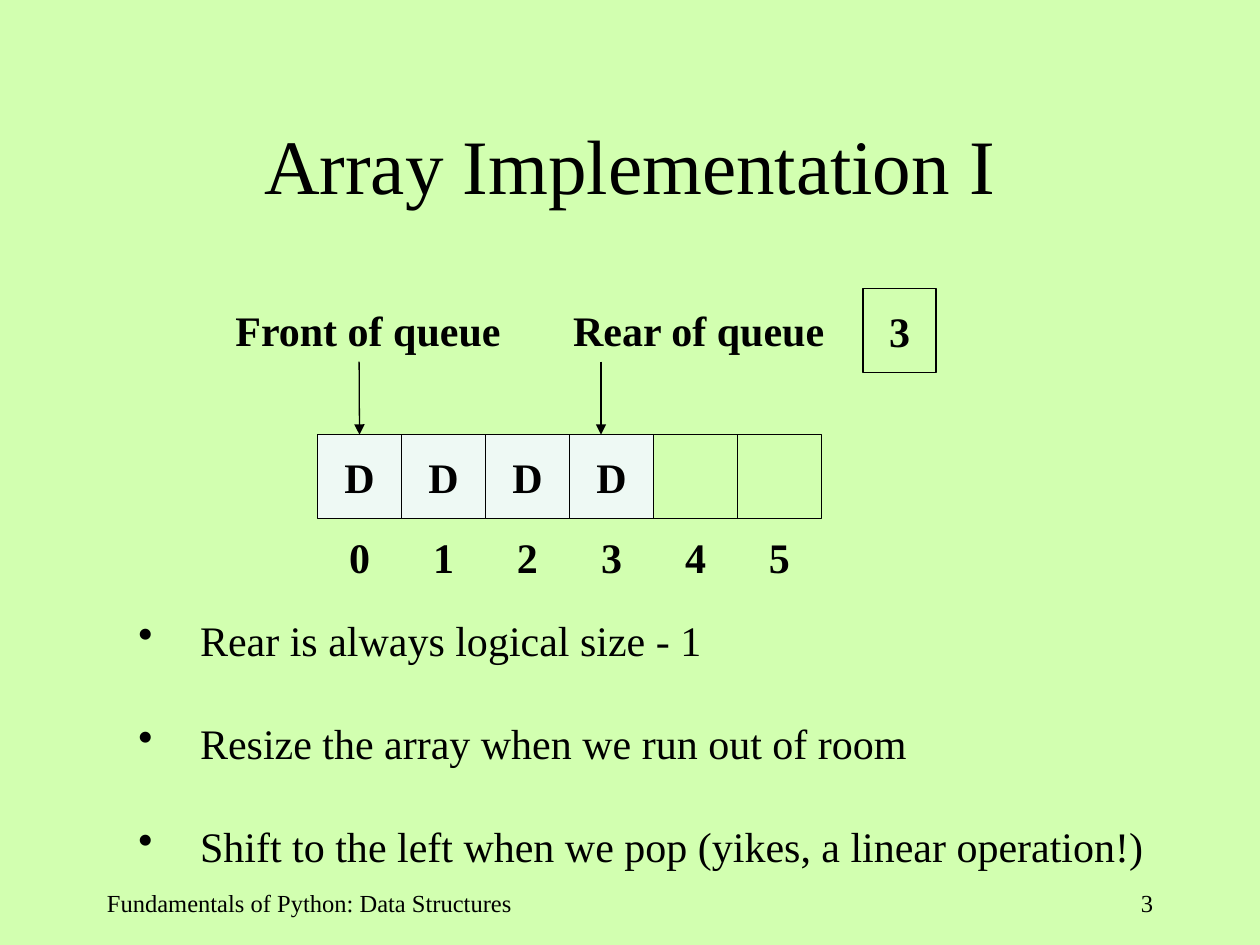
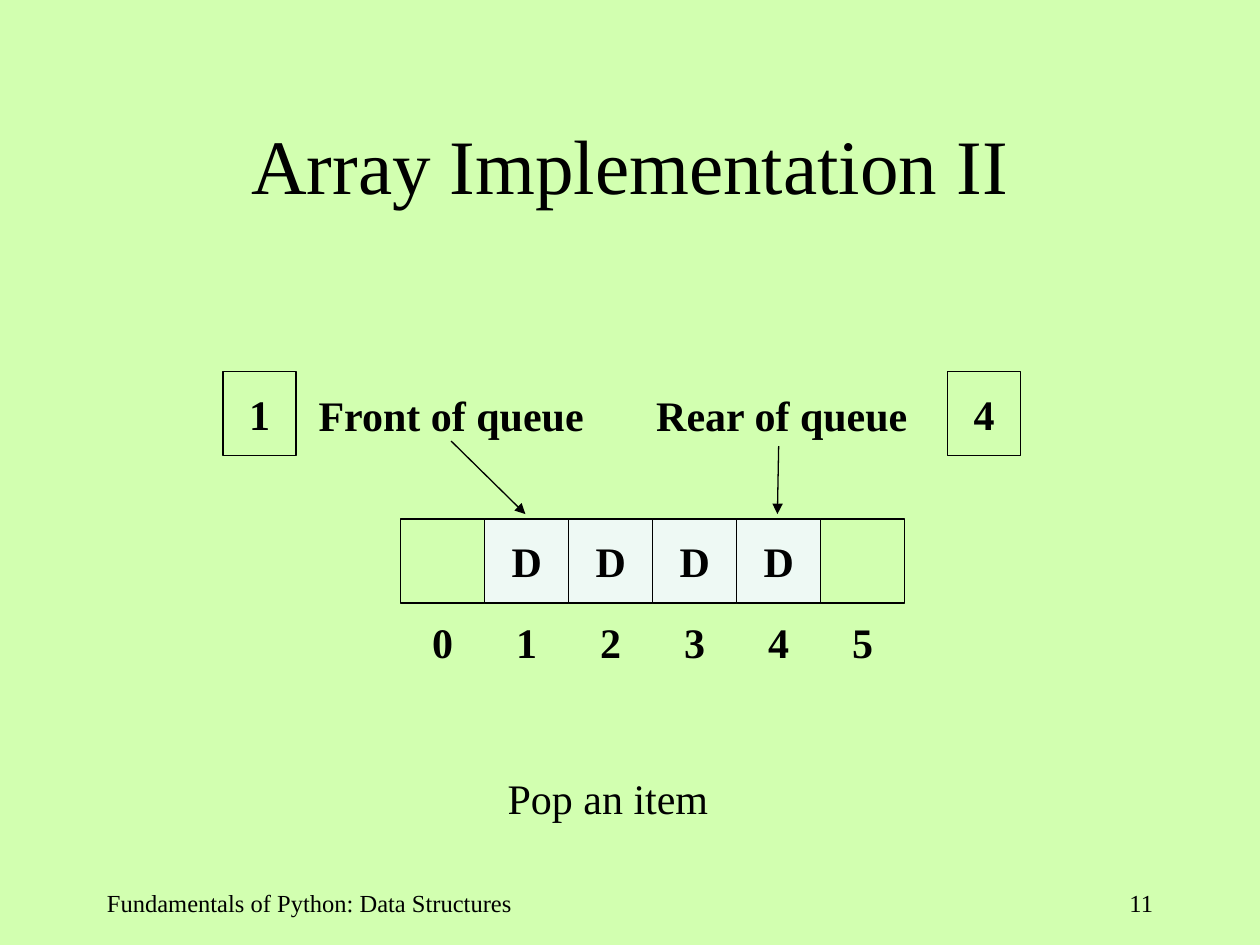
from pptx import Presentation
from pptx import util as u
from pptx.dml.color import RGBColor
from pptx.enum import shapes, text
from pptx.oxml import ns, xmlchemy

Inches, Pt = u.Inches, u.Pt
LEFT, CENTER, RIGHT = text.PP_ALIGN.LEFT, text.PP_ALIGN.CENTER, text.PP_ALIGN.RIGHT
TOP, MIDDLE = text.MSO_ANCHOR.TOP, text.MSO_ANCHOR.MIDDLE

FONT = "Times New Roman"
BACKGROUND, INK, USED_CELL = "D2FFB0", "000000", "EEF9F4"
FOOTER = "Fundamentals of Python: Data Structures"
CELL = 2 / 3          # side of one array cell
COUNTER_WIDTH = 0.58
LABEL_HEIGHT = 0.5


def color(hex_string):
    return RGBColor.from_string(hex_string)


def write(shape, lines, size=24, bold=False, align=LEFT, anchor=TOP):
    """Fill a shape with paragraphs that share one style."""
    frame = shape.text_frame
    frame.word_wrap = True
    frame.vertical_anchor = anchor
    frame.text = "\n".join(lines)
    for paragraph in frame.paragraphs:
        paragraph.alignment = align
        font = paragraph.font
        font.name, font.size, font.bold = FONT, Pt(size), bold
        font.color.rgb = color(INK)
    return frame.paragraphs


def add_text(slide, left, top, width, height, *lines, **style):
    box = slide.shapes.add_textbox(*map(Inches, (left, top, width, height)))
    return write(box, lines, **style)


def add_box(slide, left, top, width, label="", fill=None):
    box = slide.shapes.add_shape(
        shapes.MSO_SHAPE.RECTANGLE, *map(Inches, (left, top, width, CELL)))
    box.shadow.inherit = False
    if fill:
        box.fill.solid()
        box.fill.fore_color.rgb = color(fill)
    else:
        box.fill.background()
    box.line.color.rgb = color(INK)
    box.line.width = Pt(0.75)
    if label:
        write(box, [label], bold=True, align=CENTER, anchor=MIDDLE)
    return box


def add_arrow(slide, start, end, target=None):
    """Draw an arrow, joined to the top of target when one is given."""
    arrow = slide.shapes.add_connector(
        shapes.MSO_CONNECTOR.STRAIGHT, *map(Inches, (*start, *end)))
    if target is not None:
        arrow.end_connect(target, 0)
    arrow.line.color.rgb = color(INK)
    arrow.line.width = Pt(0.75)
    properties = arrow._element.spPr
    head = xmlchemy.OxmlElement("a:tailEnd")
    head.set("type", "triangle")
    properties.find(ns.qn("a:ln")).append(head)
    properties.append(xmlchemy.OxmlElement("a:effectLst"))


def add_bullets(slide, left, top, width, height, *lines):
    for index, paragraph in enumerate(add_text(slide, left, top, width, height, *lines)):
        if index:
            paragraph.space_before = Pt(30)
        properties = paragraph._p.get_or_add_pPr()
        properties.set("marL", str(Inches(0.49)))
        properties.set("indent", str(-Inches(0.49)))
        bullet = xmlchemy.OxmlElement("a:buChar")
        bullet.set("char", "•")
        properties.insert_element_before(bullet, "a:tabLst", "a:defRPr", "a:extLst")


def add_queue(slide, left, top, items):
    """Draw the array with its indexes and the two labels above it."""
    cells = []
    for index, item in enumerate(items):
        x = left + index * CELL
        cells.append(add_box(slide, x, top, CELL, item, USED_CELL if item else None))
        add_text(slide, x, top + 0.72, CELL, LABEL_HEIGHT, str(index),
                 bold=True, align=CENTER)
    for offset, label in ((-0.75, "Front of queue"), (1.93, "Rear of queue")):
        add_text(slide, left + offset, top - 1.08, 2.35, LABEL_HEIGHT, label, bold=True)
    return cells


def add_base_slide(presentation, title, number):
    slide = presentation.slides.add_slide(presentation.slide_layouts[6])
    slide.background.fill.solid()
    slide.background.fill.fore_color.rgb = color(BACKGROUND)
    add_text(slide, 0.75, 0.67, 8.5, 1.25, title, size=44, align=CENTER, anchor=MIDDLE)
    add_text(slide, 0.75, 7, 3.92, 0.5, FOOTER, size=14)
    add_text(slide, 7.17, 7, 2.08, 0.5, str(number), size=14, align=RIGHT)
    return slide


def main():
    presentation = Presentation()
    presentation.slide_width, presentation.slide_height = Inches(10), Inches(7.5)

    # Front fixed at index 0
    slide = add_base_slide(presentation, "Array Implementation I", 3)
    cells = add_queue(slide, 2.52, 3.45, ["D", "D", "D", "D", "", ""])
    add_arrow(slide, (2.85, 2.87), (2.85, 3.45), cells[0])
    add_arrow(slide, (4.77, 2.87), (4.77, 3.45))
    add_box(slide, 6.85, 2.29, COUNTER_WIDTH, "3")
    add_bullets(slide, 1, 4.83, 8.73, 2.1,
                "Rear is always logical size - 1",
                "Resize the array when we run out of room",
                "Shift to the left when we pop (yikes, a linear operation!)")

    # Front moves forward after a pop
    slide = add_base_slide(presentation, "Array Implementation II", 11)
    add_queue(slide, 3.18, 4.12, ["", "D", "D", "D", "D", ""])
    add_arrow(slide, (3.58, 3.5), (4.17, 4.08))
    add_arrow(slide, (6.18, 3.54), (6.17, 4.08))
    for left, value in ((1.77, "1"), (7.52, "4")):
        add_box(slide, left, 2.95, COUNTER_WIDTH, value)
    add_text(slide, 3.93, 6.08, 1.85, LABEL_HEIGHT, "Pop an item")

    presentation.save("out.pptx")


if __name__ == "__main__":
    main()
